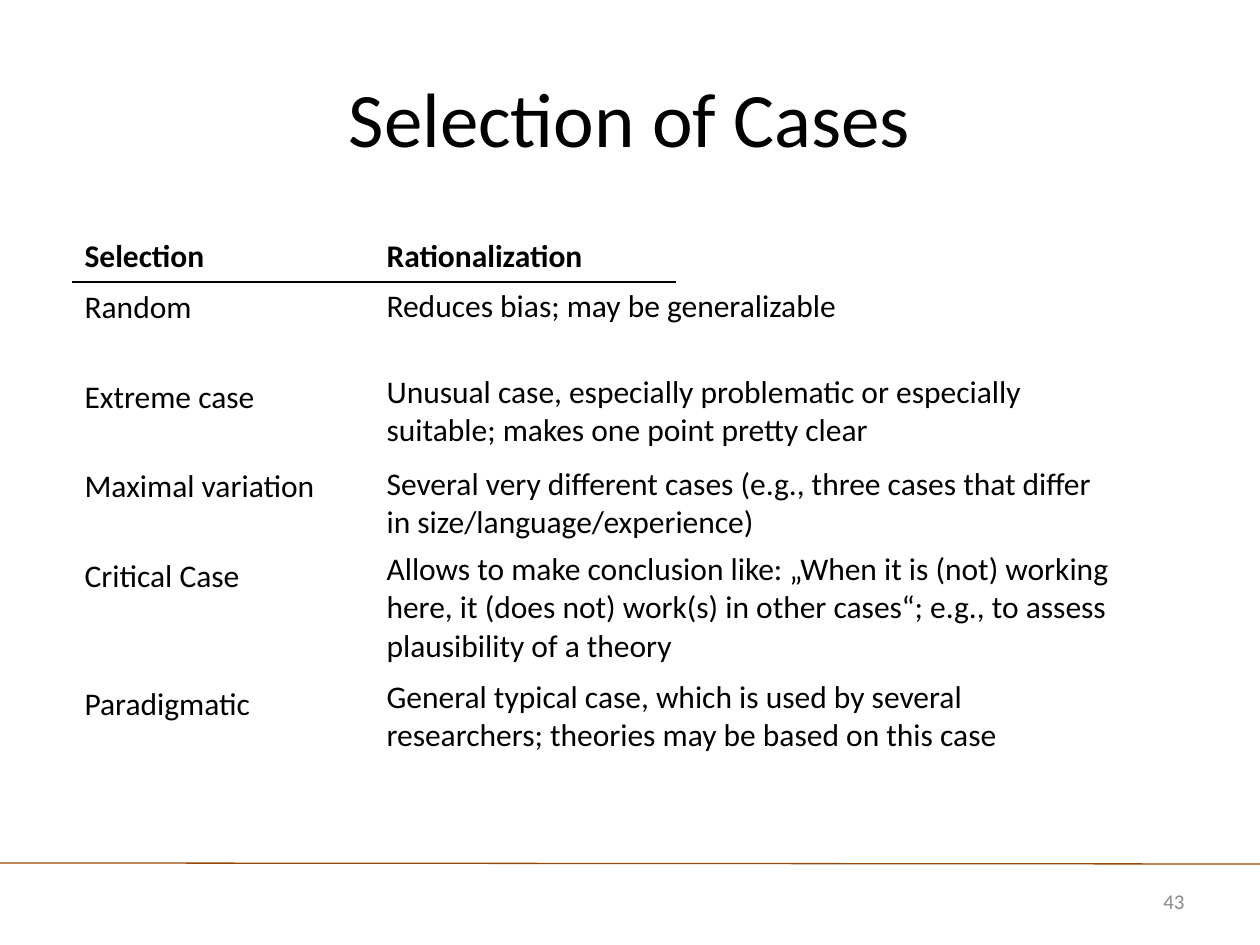
import pptx
import pptx.dml.color
import pptx.enum.shapes
import pptx.enum.text
import pptx.oxml
import pptx.oxml.ns
import pptx.util

SCALE = 914400 / 126
FONT = "Calibri"
COLORS = {"text": "000000", "number": "8C8C8C", "footer": "984807", "rule": "000000"}
NO_STYLE = "{2D5ABB26-0587-4C30-8999-92F81FD0307C}"
ALIGN = pptx.enum.text.PP_ALIGN
ROW_HEIGHT = 51
RATIONALE_LEFT = 374
SELECTIONS = [
    ("Selection", 51),
    ("Random", 90),
    ("Extreme case", 89),
    ("Maximal variation", 90),
    ("Critical Case", 128),
    ("Paradigmatic", ROW_HEIGHT),
]
RATIONALES = [
    (231, 302, 51, "Rationalization"),
    (281, 591, 51, "Reduces bias; may be generalizable"),
    (367, 748, 88, "Unusual case, especially problematic or especially suitable; "
                   "makes one point pretty clear"),
    (459, 748, 88, "Several very different cases (e.g., three cases that differ "
                   "in size/language/experience)"),
    (544, 748, 126, "Allows to make conclusion like: „When it is (not) working here, "
                    "it (does not) work(s) in other cases“; e.g., to assess "
                    "plausibility of a theory"),
    (672, 748, 88, "General typical case, which is used by several researchers; "
                   "theories may be based on this case"),
]


def px(length):
    return pptx.util.Emu(round(length * SCALE))


def color(name):
    return pptx.dml.color.RGBColor.from_string(COLORS[name])


def write(frame, text, size, align=ALIGN.LEFT, tone="text", bold=False):
    para = frame.paragraphs[0]
    para.alignment = align
    span = para.add_run()
    span.text = text
    span.font.name = FONT
    span.font.size = pptx.util.Pt(size)
    span.font.bold = bold
    span.font.color.rgb = color(tone)


def add_text(page, place, text, size, align, tone="text"):
    box = page.shapes.add_textbox(*map(px, place))
    frame = box.text_frame
    frame.word_wrap = True
    frame.vertical_anchor = pptx.enum.text.MSO_ANCHOR.MIDDLE
    write(frame, text, size, align, tone)


def add_footer_line(page):
    line = page.shapes.add_connector(
        pptx.enum.shapes.MSO_CONNECTOR.STRAIGHT, px(0), px(863), px(1260), px(864))
    line.line.color.rgb = color("footer")
    line.line.width = pptx.util.Pt(0.75)
    line._element.spPr.append(pptx.oxml.parse_xml(
        f'<a:effectLst {pptx.oxml.ns.nsdecls("a")}/>'))


def underline(cell):
    border = pptx.oxml.parse_xml(
        f'<a:lnB {pptx.oxml.ns.nsdecls("a")} w="{pptx.util.Pt(1)}"><a:solidFill>'
        f'<a:srgbClr val="{COLORS["rule"]}"/></a:solidFill></a:lnB>')
    cell._tc.get_or_add_tcPr().insert(0, border)


def add_column(page, left, top, width, rows, header):
    height = sum(row_height for _, row_height in rows)
    table = page.shapes.add_table(
        len(rows), 1, px(left), px(top), px(width), px(height)).table
    table.first_row = header
    table.horz_banding = False
    table._tbl.tblPr.find(pptx.oxml.ns.qn("a:tableStyleId")).text = NO_STYLE
    for index, (text, row_height) in enumerate(rows):
        table.rows[index].height = px(row_height)
        cell = table.cell(index, 0)
        cell.fill.background()
        is_header = header and index == 0
        write(cell.text_frame, text, 18, bold=is_header)
        if is_header:
            underline(cell)


def main():
    deck = pptx.Presentation()
    deck.slide_width = pptx.util.Inches(10)
    deck.slide_height = pptx.util.Inches(7.5)
    page = deck.slides.add_slide(deck.slide_layouts[6])
    add_footer_line(page)
    add_text(page, (63, 38, 1134, 158), "Selection of Cases", 44, ALIGN.CENTER)
    add_text(page, (1082, 876, 115, 50), "43", 12, ALIGN.RIGHT, "number")
    add_column(page, 72, 231, 302, SELECTIONS, True)
    for index, (top, width, height, text) in enumerate(RATIONALES):
        add_column(page, RATIONALE_LEFT, top, width, [(text, height)], index == 0)
    deck.save("out.pptx")


if __name__ == "__main__":
    main()
